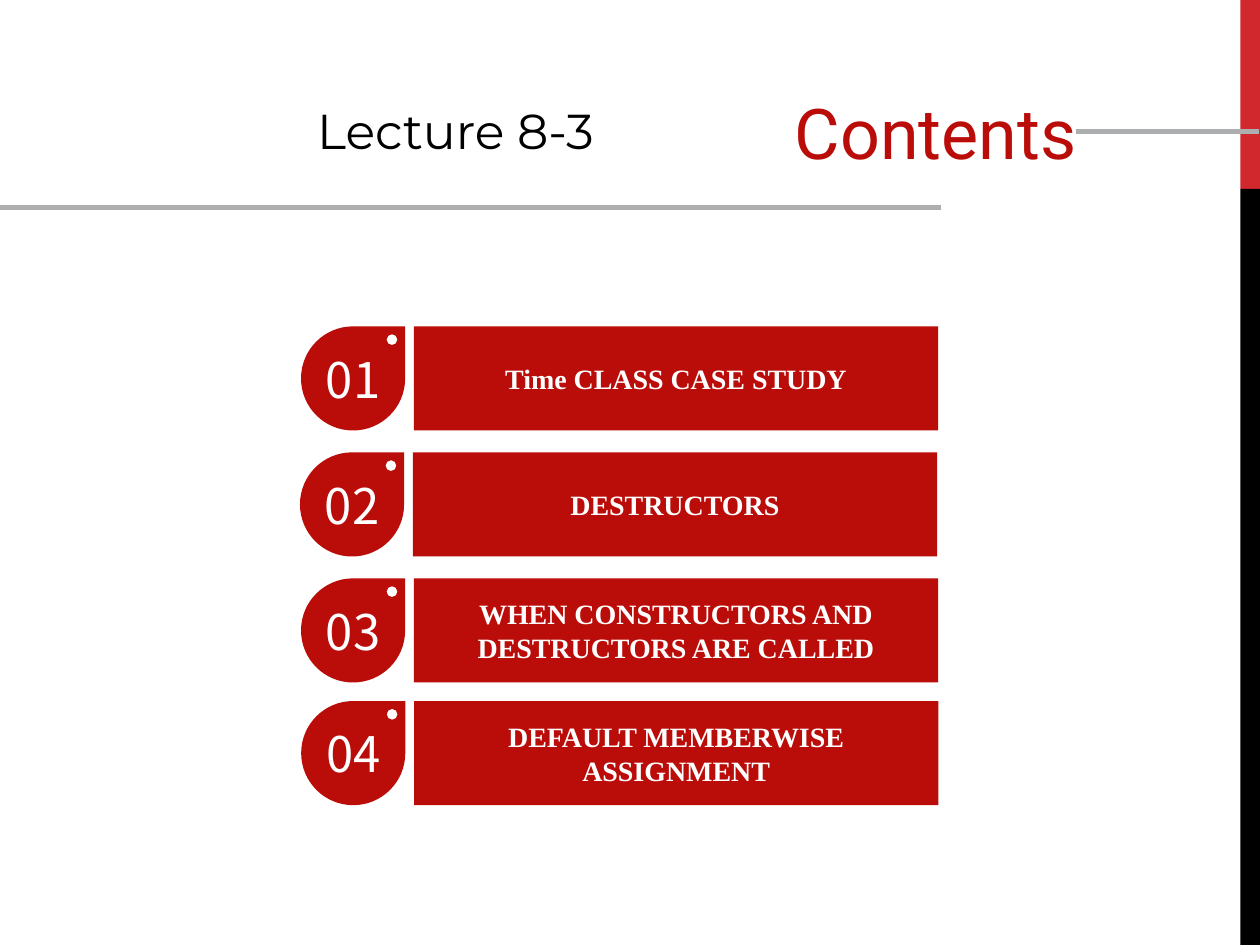
from dataclasses import dataclass

from lxml.etree import SubElement
from pptx import Presentation
from pptx.dml.color import RGBColor
from pptx.enum.shapes import MSO_CONNECTOR, MSO_SHAPE
from pptx.enum.text import MSO_ANCHOR, PP_ALIGN
from pptx.oxml.ns import qn
from pptx.util import Pt

RED = "BA0D09"
WHITE = "FFFFFF"
GRAY = "ACAEB0"
SIDE = 59.5
BAR_OFFSET = 64.5
BAR_WIDTH = 299.6
CURVE = 0.5523
QUARTERS = [(1, 0), (0, 1), (-1, 0), (0, -1)]


@dataclass
class Topic:
    number: str
    title: str
    left: float
    top: float


@dataclass
class Rule:
    start: float
    end: float
    height: float


TOPICS = [
    Topic("01", "Time CLASS CASE STUDY", 172, 186.5),
    Topic("02", "DESTRUCTORS", 171.4, 258.5),
    Topic("03", "WHEN CONSTRUCTORS AND DESTRUCTORS ARE CALLED", 172, 330.5),
    Topic("04", "DEFAULT MEMBERWISE ASSIGNMENT", 172.1, 400.6),
]
RULES = [Rule(614.9, 719.5, 75.2), Rule(-0.5, 537.7, 118.6)]


def color(value: str) -> RGBColor:
    return RGBColor.from_string(value)


def paint(shape, fill: str) -> None:
    shape.shadow.inherit = False
    shape.fill.solid()
    shape.fill.fore_color.rgb = color(fill)
    shape.line.fill.background()


def write(shape, text: str, *, font: str, size: float, ink: str, bold: bool = False,
          align=PP_ALIGN.CENTER, anchor=MSO_ANCHOR.MIDDLE, wrap: bool = True,
          inset_top: float = 3.6) -> None:
    frame = shape.text_frame
    frame.word_wrap = wrap
    frame.vertical_anchor = anchor
    frame.margin_top = Pt(inset_top)
    para = frame.paragraphs[0]
    para.alignment = align
    span = para.add_run()
    span.text = text
    span.font.size = Pt(size)
    span.font.bold = bold
    span.font.color.rgb = color(ink)
    span.font.name = font
    properties = span.font._element
    for tag in ("a:ea", "a:cs"):
        SubElement(properties, qn(tag)).set("typeface", font)


def add_block(page, left: float, top: float, width: float, height: float, fill: str):
    block = page.shapes.add_shape(MSO_SHAPE.RECTANGLE, Pt(left), Pt(top), Pt(width), Pt(height))
    paint(block, fill)
    return block


def add_text(page, left: float, top: float, width: float, height: float, text: str, **style) -> None:
    box = page.shapes.add_textbox(Pt(left), Pt(top), Pt(width), Pt(height))
    write(box, text, **style)


def arc_points(x: float, y: float, radius: float, quarters: int) -> list:
    points = [(x + radius, y)]
    for index in range(quarters):
        (ax, ay), (bx, by) = QUARTERS[index], QUARTERS[(index + 1) % 4]
        steps = [(ax + CURVE * bx, ay + CURVE * by), (bx + CURVE * ax, by + CURVE * ay), (bx, by)]
        points += [(x + radius * px, y + radius * py) for px, py in steps]
    return [(Pt(px), Pt(py)) for px, py in points]


def bend(segments: list) -> None:
    for index in range(0, len(segments), 3):
        first = segments[index]
        path = first.getparent()
        curve = SubElement(path, qn("a:cubicBezTo"))
        first.addprevious(curve)
        for segment in segments[index:index + 3]:
            curve.append(segment[0])
            path.remove(segment)


def add_drop(page, left: float, top: float):
    radius = SIDE / 2
    hole = arc_points(left + 52, top + 7.6, 3.1, 4)
    body = arc_points(left + radius, top + radius, radius, 3)
    builder = page.shapes.build_freeform(*hole[0], scale=1.0)
    builder.add_line_segments(hole[1:], close=True)
    builder.move_to(*body[-1])
    builder.add_line_segments([(Pt(left + SIDE), Pt(top))] + body, close=True)
    drop = builder.convert_to_shape()
    segments = list(drop._element.iter(qn("a:lnTo")))
    bend(segments[:12])
    bend(segments[14:])
    paint(drop, RED)
    return drop


def add_topic(page, topic: Topic) -> None:
    drop = add_drop(page, topic.left, topic.top)
    write(drop, topic.number, font="Noto Sans CJK JP", size=28, ink=WHITE)
    bar = add_block(page, topic.left + BAR_OFFSET, topic.top, BAR_WIDTH, SIDE, RED)
    write(bar, topic.title, font="Times New Roman", size=16, ink=WHITE, bold=True)


def add_rule(page, rule: Rule) -> None:
    line = page.shapes.add_connector(MSO_CONNECTOR.STRAIGHT, Pt(rule.start), Pt(rule.height),
                                     Pt(rule.end), Pt(rule.height))
    line.line.color.rgb = color(GRAY)
    line.line.width = Pt(3)
    SubElement(line._element.spPr, qn("a:effectLst"))


deck = Presentation()
deck.slide_width, deck.slide_height = Pt(720), Pt(540)
page = deck.slides.add_slide(deck.slide_layouts[6])

add_block(page, 708.75, 0, 11.25, 108, "D1282E")
add_block(page, 708.75, 108, 11.25, 432, "000000")
add_text(page, 360.7, 51.3, 261.4, 83.5, "Contents", font="Roboto", size=40, ink=RED,
         align=PP_ALIGN.RIGHT, anchor=MSO_ANCHOR.TOP, inset_top=0)
for rule in RULES:
    add_rule(page, rule)
add_text(page, 174.2, 54, 190.8, 41, "Lecture 8-3", font="Montserrat", size=28, ink="000000",
         align=PP_ALIGN.LEFT, anchor=MSO_ANCHOR.TOP, wrap=False)
for topic in TOPICS:
    add_topic(page, topic)

deck.save("out.pptx")
